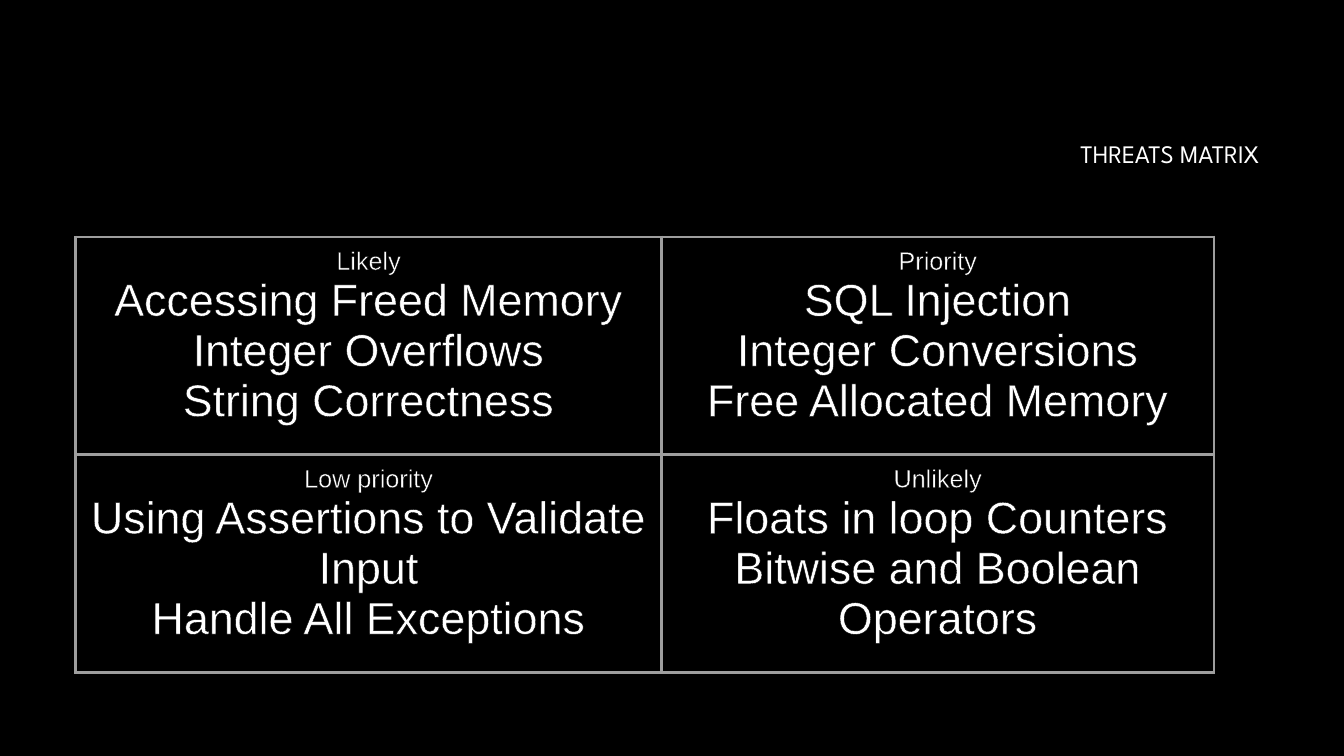
from lxml import etree
from pptx import Presentation, util as u
from pptx.dml.color import RGBColor
from pptx.enum import text
from pptx.oxml import parse_xml
from pptx.oxml.ns import nsdecls

WIDTH, HEIGHT = u.Inches(13.33), u.Inches(7.5)
BLACK, WHITE, GREY = "000000", "FFFFFF", "9E9E9E"
COLUMNS = (5.81, 5.48)
ROW_HEIGHT = 2.16
THREATS = [
    [("Likely", "Accessing Freed Memory", "Integer Overflows", "String Correctness"),
     ("Priority", "SQL Injection", "Integer Conversions", "Free Allocated Memory")],
    [("Low priority", "Using Assertions to Validate Input", "Handle All Exceptions"),
     ("Unlikely", "Floats in loop Counters", "Bitwise and Boolean Operators")],
]


def paint(fill, color):
    fill.solid()
    fill.fore_color.rgb = RGBColor.from_string(color)


def set_all(target, formats):
    for name, value in formats.items():
        setattr(target, name, value)


def line_xml(tag, color, points):
    return parse_xml(
        f'<a:{tag} {nsdecls("a")} w="{u.Pt(points)}"><a:solidFill>'
        f'<a:srgbClr val="{color}"/></a:solidFill></a:{tag}>')


def add_run(p, words, font, size):
    r = p.add_run()
    r.text = words
    set_all(r.font, {"name": font, "size": u.Pt(size), "bold": False})
    paint(r.font.fill, WHITE)
    return r


def add_title(s, words):
    sp = s.shapes.title
    set_all(sp, {"left": u.Inches(3.17), "top": u.Inches(0.84),
                 "width": u.Inches(9.42), "height": u.Inches(1.41)})
    tf = sp.text_frame
    set_all(tf, {"vertical_anchor": text.MSO_ANCHOR.MIDDLE, "word_wrap": True,
                 "auto_size": text.MSO_AUTO_SIZE.NONE})
    p = tf.paragraphs[0]
    set_all(p, {"alignment": text.PP_ALIGN.RIGHT, "line_spacing": 0.9})
    add_run(p, words, "League Spartan", 18)


def fill_cell(cell, lines):
    """Write a small heading and its larger threats into a bordered cell."""
    margins = ("margin_left", "margin_right", "margin_top", "margin_bottom")
    set_all(cell, dict.fromkeys(margins, u.Inches(0.1)))
    paint(cell.fill, BLACK)
    tcPr = cell._tc.get_or_add_tcPr()
    for i, side in enumerate(("lnL", "lnR", "lnT", "lnB")):
        tcPr.insert(i, line_xml(side, GREY, 2.25))
    tf = cell.text_frame
    for i, words in enumerate(lines):
        p = tf.add_paragraph() if i else tf.paragraphs[0]
        p.alignment = text.PP_ALIGN.CENTER
        r = add_run(p, words, "Arial", 32 if i else 18)
        r.font._element.insert(0, line_xml("ln", BLACK, 0.75))


def add_matrix(s, rows):
    frame = s.shapes.add_table(
        len(rows), len(COLUMNS), u.Inches(0.75), u.Inches(2.35),
        u.Inches(sum(COLUMNS)), u.Inches(ROW_HEIGHT * len(rows)))
    table = frame.table
    set_all(table, {"first_row": False, "horz_banding": False})
    for column, width in zip(table.columns, COLUMNS):
        column.width = u.Inches(width)
    for row, contents in zip(table.rows, rows):
        row.height = u.Inches(ROW_HEIGHT)
        for cell, lines in zip(row.cells, contents):
            fill_cell(cell, lines)


def main():
    prs = Presentation()
    set_all(prs, {"slide_width": WIDTH, "slide_height": HEIGHT})
    s = prs.slides.add_slide(prs.slide_layouts[5])
    paint(s.background.fill, BLACK)
    add_title(s, "THREATS MATRIX")
    add_matrix(s, THREATS)
    prs.save("out.pptx")


if __name__ == "__main__":
    main()
